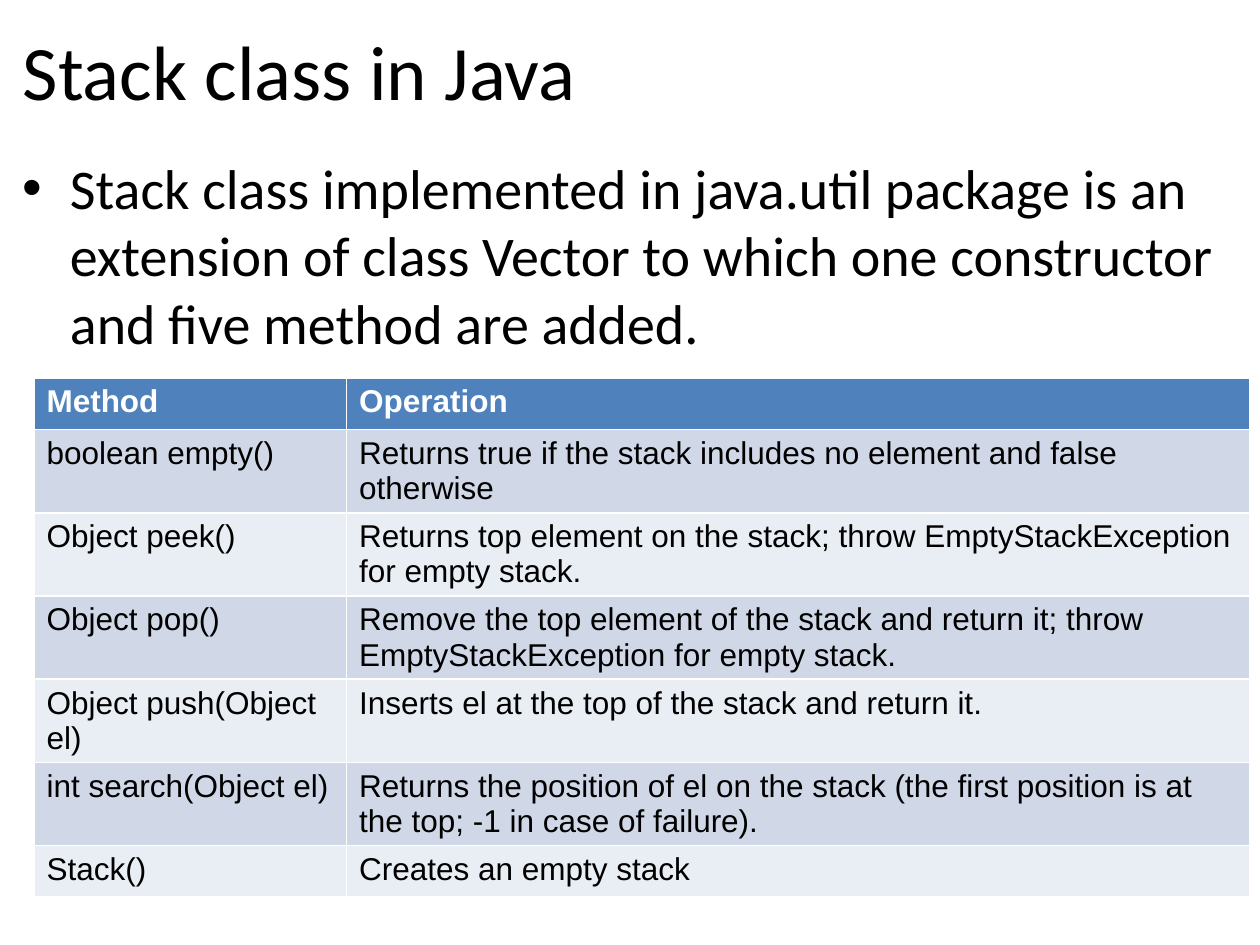
from dataclasses import dataclass

from pptx import Presentation
from pptx.dml.color import RGBColor
from pptx.enum import text
from pptx.util import Inches, Pt


@dataclass(frozen=True)
class Theme:
    ink: RGBColor = RGBColor.from_string("000000")
    header_ink: RGBColor = RGBColor.from_string("FFFFFF")
    header_fill: RGBColor = RGBColor.from_string("4F81BD")
    bands: tuple = (RGBColor.from_string("D0D8E8"), RGBColor.from_string("E9EDF4"))
    heading_font: str = "Calibri"
    table_font: str = "Arial"
    title_size: int = 44
    body_size: int = 32
    table_size: int = 18


THEME = Theme()
TITLE = "Stack class in Java"
SUMMARY = (
    "Stack class implemented in java.util package is an extension of class Vector "
    "to which one constructor and five method are added."
)
METHODS = [
    ("Method", "Operation"),
    ("boolean empty()", "Returns true if the stack includes no element and false otherwise"),
    ("Object peek()", "Returns top element on the stack; throw EmptyStackException for empty stack."),
    ("Object pop()", "Remove the top element of the stack and return it; throw EmptyStackException for empty stack."),
    ("Object push(Object el)", "Inserts el at the top of the stack and return it."),
    ("int search(Object el)", "Returns the position of el on the stack (the first position is at the top; -1 in case of failure)."),
    ("Stack()", "Creates an empty stack"),
]
COLUMN_WIDTHS = (2.48, 7.17)
ROW_HEIGHT = 0.41


def style_font(para, name, size, color, bold=False):
    para.font.name = name
    para.font.size = Pt(size)
    para.font.color.rgb = color
    para.font.bold = bold


def fill_placeholder(holder, box, words, size, anchor):
    holder.left, holder.top, holder.width, holder.height = map(Inches, box)
    frame = holder.text_frame
    frame.text = words
    frame.word_wrap = True
    frame.auto_size = text.MSO_AUTO_SIZE.NONE
    frame.vertical_anchor = anchor
    para = frame.paragraphs[0]
    para.alignment = text.PP_ALIGN.LEFT
    style_font(para, THEME.heading_font, size, THEME.ink)


def add_title(page, box):
    fill_placeholder(page.shapes.title, box, TITLE, THEME.title_size, text.MSO_ANCHOR.MIDDLE)


def add_summary(page, box):
    fill_placeholder(page.placeholders[1], box, SUMMARY, THEME.body_size, text.MSO_ANCHOR.TOP)


def add_method_table(page, left, top):
    table = page.shapes.add_table(
        len(METHODS), len(COLUMN_WIDTHS), Inches(left), Inches(top),
        Inches(sum(COLUMN_WIDTHS)), Inches(ROW_HEIGHT * len(METHODS)),
    ).table
    for column, width in zip(table.columns, COLUMN_WIDTHS):
        column.width = Inches(width)
    for index, (row, words) in enumerate(zip(table.rows, METHODS)):
        header = index == 0
        row.height = Inches(ROW_HEIGHT)
        for cell, content in zip(row.cells, words):
            cell.text = content
            cell.fill.solid()
            cell.fill.fore_color.rgb = THEME.header_fill if header else THEME.bands[(index - 1) % 2]
            color = THEME.header_ink if header else THEME.ink
            style_font(cell.text_frame.paragraphs[0], THEME.table_font, THEME.table_size, color, header)


def main():
    deck = Presentation()
    deck.slide_width, deck.slide_height = Inches(10), Inches(7.5)
    page = deck.slides.add_slide(deck.slide_layouts[1])
    add_title(page, (0.08, 0.08, 9.75, 0.95))
    add_summary(page, (0.08, 1.17, 9.75, 1.83))
    add_method_table(page, 0.27, 3)
    deck.save("out.pptx")


if __name__ == "__main__":
    main()
